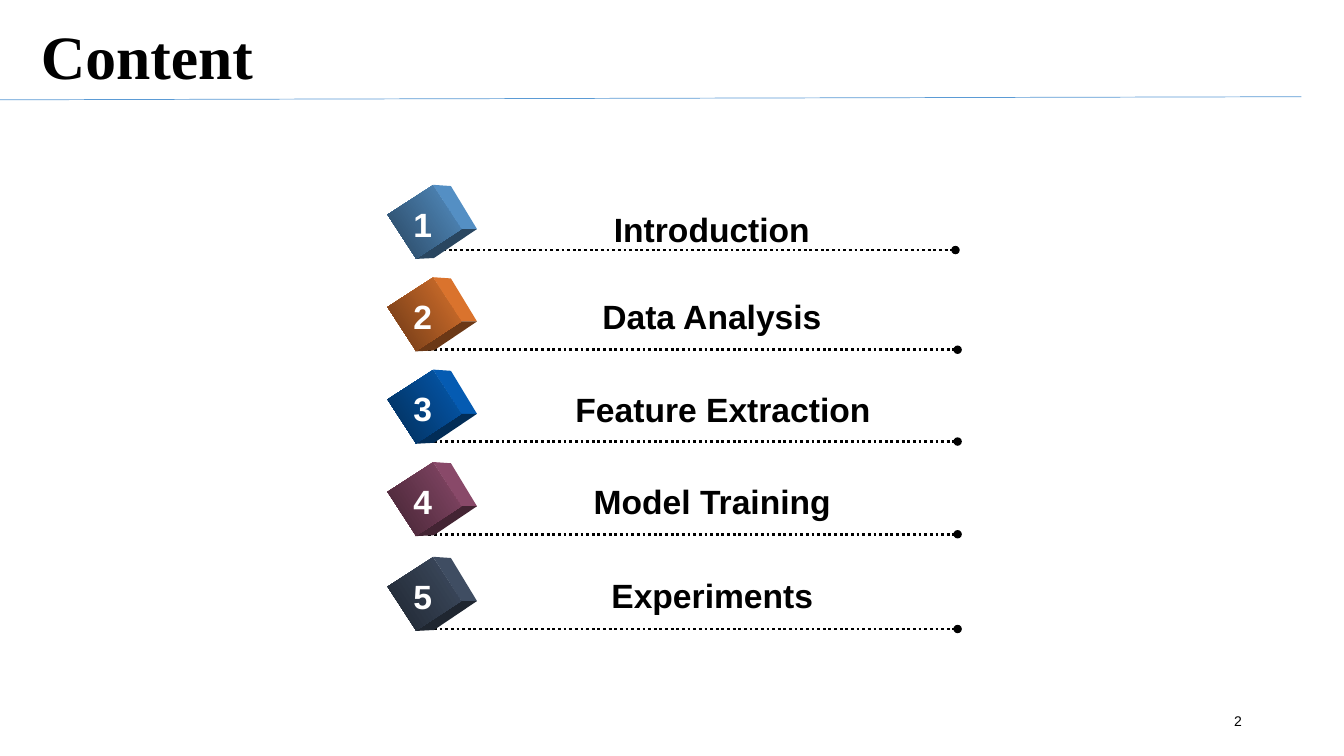
"""Build the numbered content slide with five cubes and dotted lines."""
import pptx
import pptx.util
import pptx.dml.color
import pptx.enum.dml
import pptx.enum.shapes
import pptx.enum.text
import pptx.oxml.ns
import lxml.etree

Pt = pptx.util.Pt
RGBColor = pptx.dml.color.RGBColor
ALIGN = pptx.enum.text.PP_ALIGN
ANCHOR = pptx.enum.text.MSO_ANCHOR

BLACK = RGBColor(0, 0, 0)
WHITE = RGBColor(255, 255, 255)
BLUE = RGBColor(0x5B, 0x9B, 0xD5)
ORANGE = RGBColor(0xED, 0x7D, 0x31)
ROYAL = RGBColor(0x05, 0x63, 0xC1)
PLUM = RGBColor(0x95, 0x4F, 0x72)
SLATE = RGBColor(0x44, 0x54, 0x6A)

TITLE = "Content"
PAGE = "2"
# text, colour, cube top, line left, line y, label left, label top, label width, alignment
TOPICS = [
    ("Introduction", BLUE, 138.2, 304.5, 178.6, 395, 145.4, 227, ALIGN.CENTER),
    ("Data Analysis", ORANGE, 204.2, 306, 249.8, 278, 208.1, 461, ALIGN.CENTER),
    ("Feature Extraction", ROYAL, 270.2, 306, 315.4, 404, 274.3, 238, ALIGN.LEFT),
    ("Model Training", PLUM, 336.2, 306, 381.6, 379.5, 339.8, 258.5, ALIGN.CENTER),
    ("Experiments", SLATE, 403.9, 306, 449.3, 379.5, 406.8, 258.5, ALIGN.CENTER),
]
LINE_LENGTH = 378
RIGHT_FACE = [(309.2, -6.2), (322.1, -5.3), (340.7, 25.4), (329.5, 25.4)]
BOTTOM_FACE = [(329.5, 25.4), (340.7, 25.4), (310, 46.1), (296.4, 46.8)]


def shade(color, factor):
    """Darken a colour by a factor."""
    return RGBColor(*(round(c * factor) for c in color))


def add_text(s, text, box, size, color=BLACK, font="Arial", bold=True,
             align=ALIGN.CENTER, anchor=ANCHOR.TOP, wrap=True):
    """Add a text box holding one run."""
    tf = s.shapes.add_textbox(*map(Pt, box)).text_frame
    tf.word_wrap = wrap
    tf.vertical_anchor = anchor
    p = tf.paragraphs[0]
    p.alignment = align
    r = p.add_run()
    r.text = text
    r.font.size = Pt(size)
    r.font.name = font
    r.font.bold = bold
    r.font.color.rgb = color
    return tf


def add_line(s, x1, y1, x2, y2, color, width):
    """Add a straight line without a shadow."""
    sp = s.shapes.add_connector(pptx.enum.shapes.MSO_CONNECTOR.STRAIGHT,
                                Pt(x1), Pt(y1), Pt(x2), Pt(y2))
    sp.line.color.rgb = color
    sp.line.width = Pt(width)
    lxml.etree.SubElement(sp._element.spPr, pptx.oxml.ns.qn("a:effectLst"))
    return sp


def add_dotted_line(s, left, y):
    """Add a dotted line that ends in a dot."""
    sp = add_line(s, left, y, left + LINE_LENGTH, y, BLACK, 2)
    sp.line.dash_style = pptx.enum.dml.MSO_LINE.ROUND_DOT
    lxml.etree.SubElement(sp.line._get_or_add_ln(),
                          pptx.oxml.ns.qn("a:tailEnd"), type="oval")


def add_cube(s, top, color):
    """Add the side faces and the gradient front of a cube."""
    for face, factor in ((RIGHT_FACE, 0.92), (BOTTOM_FACE, 0.45)):
        points = [(Pt(x), Pt(top + y)) for x, y in face]
        fb = s.shapes.build_freeform(*points[0])
        fb.add_line_segments(points[1:], close=True)
        sp = fb.convert_to_shape()
        sp.shadow.inherit = False
        sp.fill.solid()
        sp.fill.fore_color.rgb = shade(color, factor)
        sp.line.fill.background()
    front = s.shapes.add_shape(pptx.enum.shapes.MSO_SHAPE.RECTANGLE,
                               Pt(284.4), Pt(top + 1.1), Pt(37.4), Pt(38.5))
    front.rotation = 57
    front.shadow.inherit = False
    front.line.fill.background()
    front.fill.gradient()
    front.fill.gradient_angle = 270
    for stop, factor in zip(front.fill.gradient_stops, (0.92, 0.45)):
        stop.color.rgb = shade(color, factor)


def main():
    """Lay out the slide and save it."""
    prs = pptx.Presentation()
    prs.slide_width, prs.slide_height = Pt(960), Pt(540)
    s = prs.slides.add_slide(prs.slide_layouts[6])

    tf = add_text(s, TITLE, (0, -9.4, 828, 104.4), 44, font="Times New Roman",
                  align=ALIGN.LEFT, anchor=ANCHOR.MIDDLE)
    tf.margin_left = Pt(29.2)
    tf.paragraphs[0].line_spacing = 0.9
    add_line(s, 0, 71.3, 929.5, 69.1, BLUE, 0.5)

    for number, topic in enumerate(TOPICS, 1):
        text, color, top, line_left, line_y, left, label_top, width, align = topic
        add_dotted_line(s, line_left, line_y)
        add_cube(s, top, color)
        add_text(s, str(number), (288, top + 3.6, 28, 36), 24, WHITE, wrap=False)
        add_text(s, text, (left, label_top, width, 36.5), 24, align=align)

    add_text(s, PAGE, (678.2, 500.4, 216, 28.8), 10, bold=False,
             align=ALIGN.RIGHT, anchor=ANCHOR.MIDDLE)
    prs.save("out.pptx")


if __name__ == "__main__":
    main()
